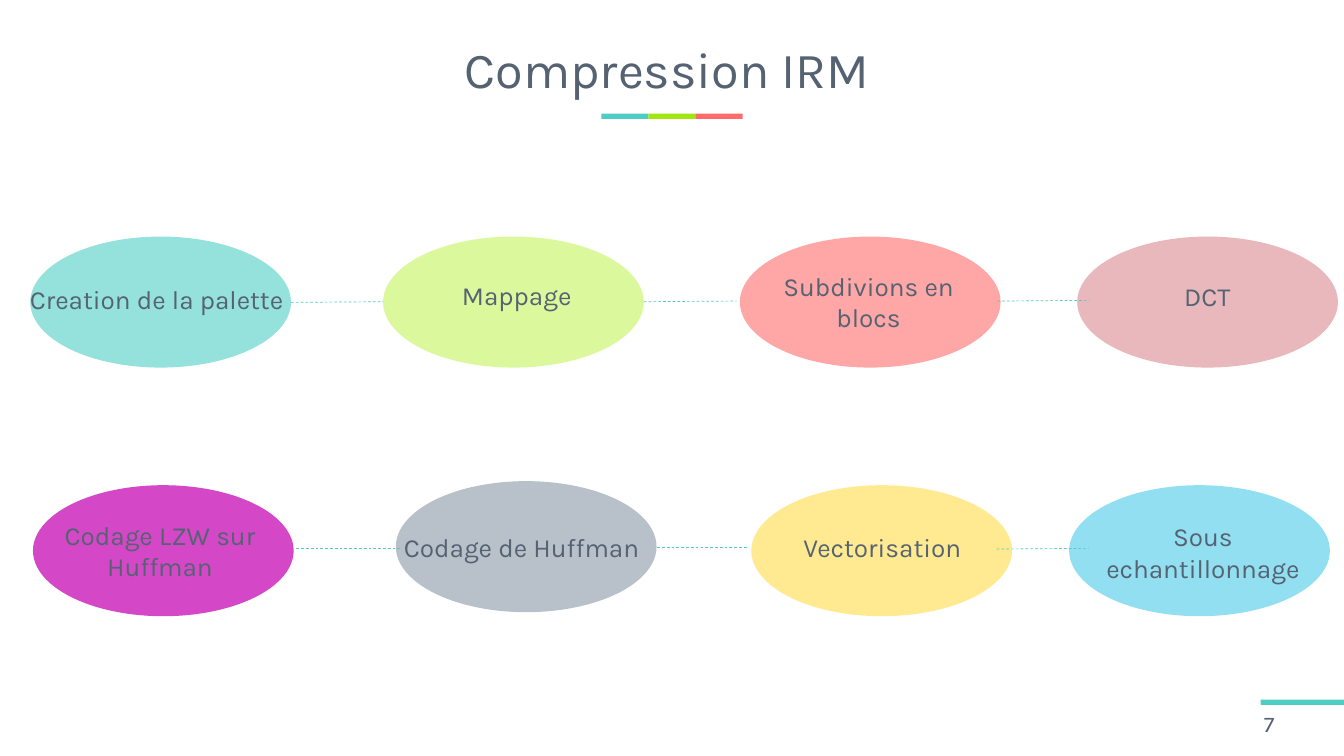
from pptx import Presentation
from pptx.dml.color import RGBColor
from pptx.enum.dml import MSO_LINE
from pptx.enum.shapes import MSO_CONNECTOR, MSO_SHAPE
from pptx.enum.text import MSO_ANCHOR, PP_ALIGN
from pptx.util import Emu, Pt
from lxml import etree

RECT, OVAL = MSO_SHAPE.RECTANGLE, MSO_SHAPE.OVAL
LINE, DASH = MSO_CONNECTOR.STRAIGHT, MSO_LINE.DASH
LEFT, CENTER = PP_ALIGN.LEFT, PP_ALIGN.CENTER
MIDDLE = MSO_ANCHOR.MIDDLE
DRAW_NS = "http://schemas.openxmlformats.org/drawingml/2006/main"
SCALE = 9144  # EMU per px, 100 px to the inch


def px(*vals):
    return [Emu(val * SCALE) for val in vals]


def color(code):
    return RGBColor.from_string(code)


class Deck:
    font, ink, teal = "Karla", "556272", "4ECDC4"

    def __init__(self, wide, high):
        self.prs = Presentation()
        self.prs.slide_width, self.prs.slide_height = px(wide, high)
        self.slide = None

    def add_slide(self):
        self.slide = self.prs.slides.add_slide(self.prs.slide_layouts[5])
        fill = self.slide.background.fill
        fill.solid()
        fill.fore_color.rgb = color("FFFFFF")

    def set_text(self, shape, text, size, align):
        frame = shape.text_frame
        frame.word_wrap = True
        frame.vertical_anchor = MIDDLE
        para = frame.paragraphs[0]
        para.text = text
        para.alignment = align
        font = para.runs[0].font
        font.name, font.size = self.font, Pt(size)
        font.color.rgb = color(self.ink)
        return para

    def title(self, text, box):
        shape = self.slide.shapes.title
        shape.left, shape.top, shape.width, shape.height = px(*box)
        self.set_text(shape, text, 54, CENTER).line_spacing = 0.9

    def label(self, text, box, size=28, align=CENTER):
        shape = self.slide.shapes.add_textbox(*px(*box))
        self.set_text(shape, text, size, align)

    def block(self, kind, box, fill):
        shape = self.slide.shapes.add_shape(kind, *px(*box))
        shape.shadow.inherit = False
        shape.fill.solid()
        shape.fill.fore_color.rgb = color(fill)
        shape.line.fill.background()

    def link(self, *ends):
        line = self.slide.shapes.add_connector(LINE, *px(*ends))
        line.line.color.rgb = color(self.teal)
        line.line.width = Pt(0.75)
        line.line.dash_style = DASH
        etree.SubElement(line._element.spPr, f"{{{DRAW_NS}}}effectLst")


# Each step: text, fill, left and top of the oval, box of the label
STEPS = [
    ("Creation de la palette ", "95E1DC", (45, 352), (31, 431, 404, 28)),
    ("Codage de Huffman", "B8C0CA", (589, 716), (574, 794, 404, 39)),
    ("DCT", "E8B8BC", (1603, 352), (1570, 415, 453, 52)),
    ("Subdivions en blocs", "FFA6A6", (1101, 352), (1104, 431, 377, 36)),
    ("Mappage", "DBF89D", (570, 352), (566, 399, 406, 81)),
    ("Codage LZW sur Huffman", "D448C7", (49, 722), (36, 800, 404, 39)),
    ("Vectorisation", "FFEA91", (1118, 722), (1111, 794, 404, 39)),
    ("Sous echantillonnage", "91DFF1", (1591, 722), (1588, 802, 404, 39)),
]
LINKS = [
    (433, 450, 570, 449), (958, 449, 1096, 448), (1484, 448, 1621, 447),
    (1483, 817, 1620, 816), (978, 814, 1111, 814), (441, 816, 595, 816),
]


def main():
    deck = Deck(2000, 1125)
    deck.add_slide()

    # Title with its three-colour rule
    deck.title("Compression IRM ", (54, 38, 1896, 140))
    for i, fill in enumerate((deck.teal, "A3E511", "FF6B6B")):
        deck.block(RECT, (895 + 70 * i, 169, 70, 8), fill)

    # Page number
    deck.block(RECT, (1876, 1041, 124, 8), deck.teal)
    deck.label("7", (1871, 1050, 129, 53), 24, LEFT)

    # Steps of the chain
    for text, fill, spot, box in STEPS:
        deck.block(OVAL, (*spot, 388, 195), fill)
        deck.label(text, box)

    # Dashed links between steps
    for ends in LINKS:
        deck.link(*ends)

    deck.prs.save("out.pptx")


if __name__ == "__main__":
    main()
